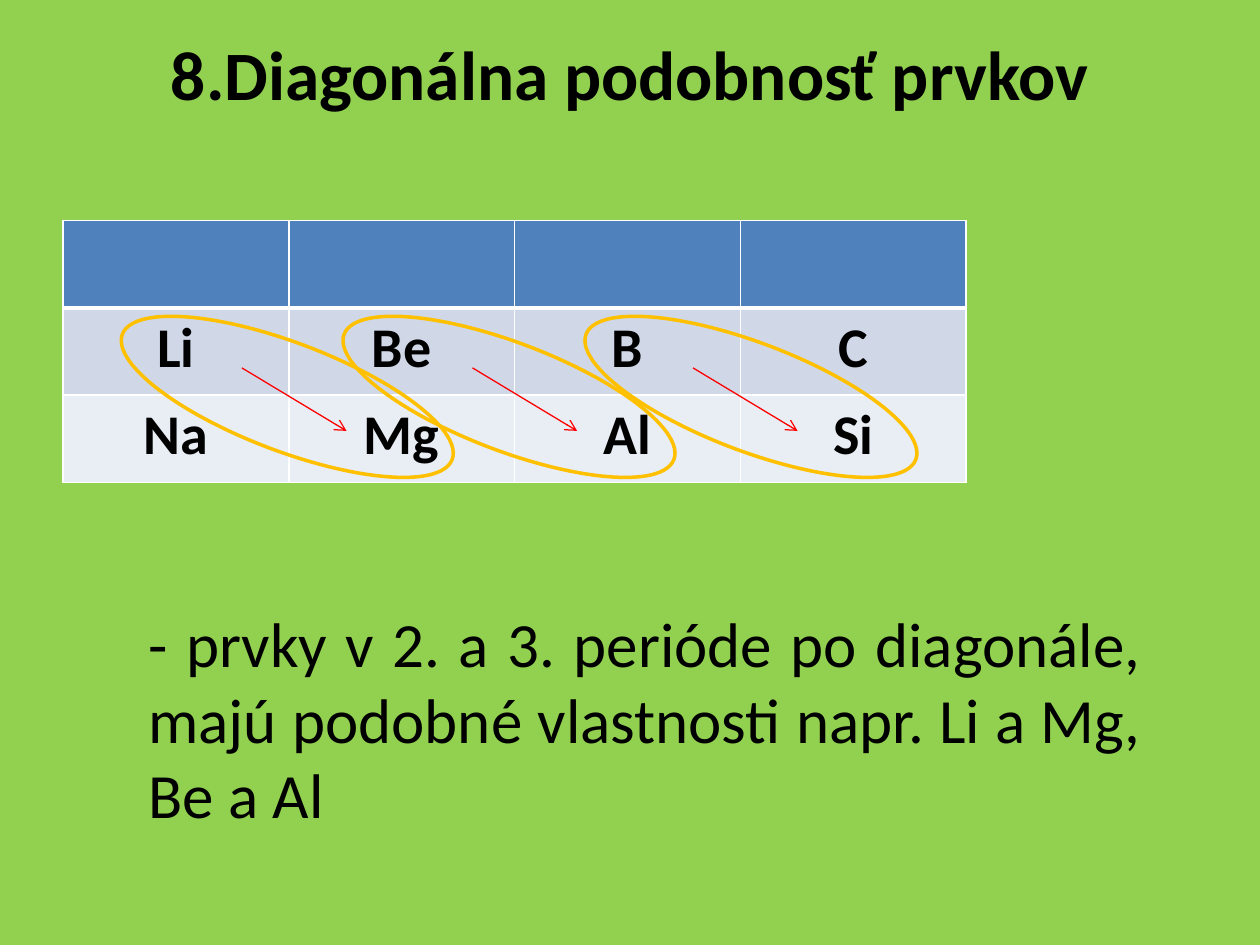
from lxml import etree
from pptx import Presentation
from pptx.dml.color import RGBColor
from pptx.enum import shapes, text
from pptx.oxml import ns
from pptx.util import Inches, Pt

COLORS = {
    "background": "92D050", "text": "000000", "border": "FFFFFF",
    "header": "4F81BD", "period 2": "D0D8E8", "period 3": "E9EDF4",
    "arrow": "FF0000", "ellipse": "FFC000",
}
ROWS = [
    ("header", ["", "", "", ""]),
    ("period 2", ["Li", "Be", "B", "C"]),
    ("period 3", ["Na", "Mg", "Al", "Si"]),
]


def color(name):
    return RGBColor.from_string(COLORS[name])


def write(frame, words, size, align, bold=False):
    frame.text = words
    para = frame.paragraphs[0]
    para.alignment = align
    for span in para.runs:
        span.font.name = "Calibri"
        span.font.size = Pt(size)
        span.font.bold = bold
        span.font.color.rgb = color("text")


deck = Presentation()
deck.slide_width, deck.slide_height = Inches(10), Inches(7.5)
page = deck.slides.add_slide(deck.slide_layouts[6])
page.background.fill.solid()
page.background.fill.fore_color.rgb = color("background")

# Title
title = page.shapes.add_textbox(Inches(0.5), Inches(0.25), Inches(9), Inches(1.25))
title.text_frame.word_wrap = True
title.text_frame.margin_top = 0
write(title.text_frame, "8.Diagonálna podobnosť prvkov", 39.6, text.PP_ALIGN.CENTER, True)

# Table of elements, with white cell borders
table = page.shapes.add_table(
    3, 4, Inches(0.5), Inches(1.75), Inches(7.17), Inches(2.08)).table
for row, (fill, symbols) in enumerate(ROWS):
    for column, symbol in enumerate(symbols):
        cell = table.cell(row, column)
        cell.fill.solid()
        cell.fill.fore_color.rgb = color(fill)
        write(cell.text_frame, symbol, 32, text.PP_ALIGN.CENTER, True)
        properties = cell._tc.get_or_add_tcPr()
        for place, side in enumerate("LRTB"):
            thick = (row, side) in [(0, "B"), (1, "T")]
            border = etree.Element(ns.qn(f"a:ln{side}"), w=str(Pt(3 if thick else 1)))
            paint = etree.SubElement(border, ns.qn("a:solidFill"))
            etree.SubElement(paint, ns.qn("a:srgbClr"), val=COLORS["border"])
            properties.insert(place, border)

# Diagonal arrows
for left in (1.92, 3.75, 5.5):
    arrow = page.shapes.add_connector(
        shapes.MSO_CONNECTOR.STRAIGHT,
        Inches(left), Inches(2.92), Inches(left + 0.83), Inches(3.42))
    arrow.line.color.rgb = color("arrow")
    arrow.line.width = Pt(0.75)
    etree.SubElement(arrow.line._get_or_add_ln(), ns.qn("a:tailEnd"), type="arrow")
    etree.SubElement(arrow._element.spPr, ns.qn("a:effectLst"))

# Ellipses around the similar pairs
for left in (0.88, 2.64, 4.56):
    ellipse = page.shapes.add_shape(
        shapes.MSO_SHAPE.OVAL, Inches(left), Inches(2.72), Inches(2.8), Inches(0.86))
    ellipse.rotation = 20.8
    ellipse.shadow.inherit = False
    ellipse.fill.background()
    ellipse.line.color.rgb = color("ellipse")
    ellipse.line.width = Pt(2)

# Explanation
note = page.shapes.add_textbox(Inches(1.08), Inches(4.75), Inches(8.08), Inches(1.92))
note.text_frame.word_wrap = True
write(note.text_frame,
      "- prvky v 2. a 3. perióde po diagonále, majú podobné vlastnosti "
      "napr. Li a Mg, Be a Al", 36, text.PP_ALIGN.JUSTIFY)

deck.save("out.pptx")
